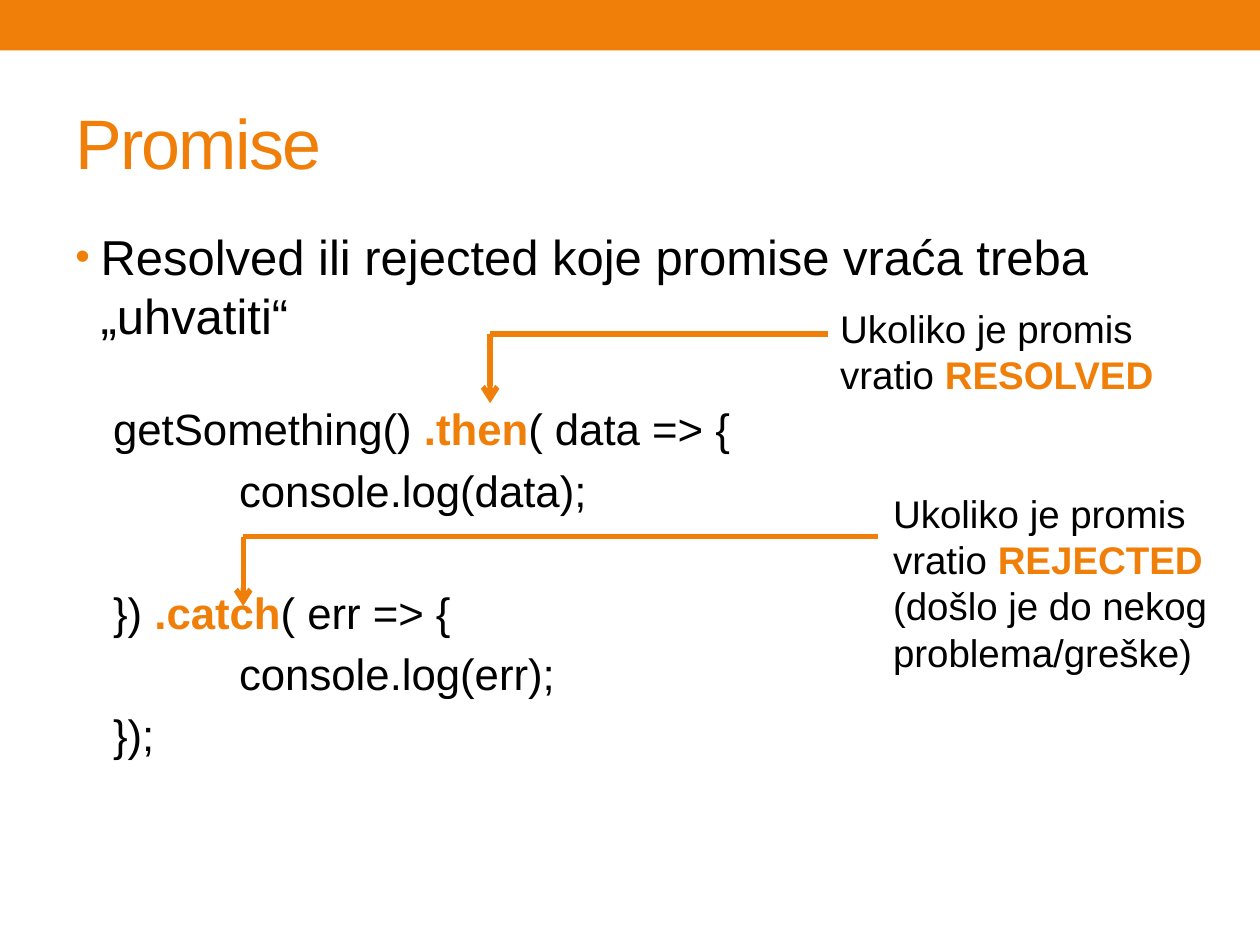
from lxml.etree import SubElement
from pptx import Presentation
from pptx.dml.color import RGBColor
from pptx.enum.shapes import MSO_CONNECTOR, MSO_SHAPE
from pptx.enum.text import MSO_ANCHOR
from pptx.oxml.ns import qn
from pptx.util import Inches, Pt

ORANGE, BLACK = "F07F09", "000000"
COLUMNS, ROWS = 100, 75
CELL = Inches(10) // COLUMNS


def grid(*cells):
    """Turn grid cells into slide lengths."""
    return [round(cell * CELL) for cell in cells]


def color(value):
    """Turn a hex string into a colour."""
    return RGBColor.from_string(value)


def add_text_frame(slide, box):
    """Place a wrapping text box and return its frame."""
    frame = slide.shapes.add_textbox(*grid(*box)).text_frame
    frame.word_wrap = True
    return frame


def write_paragraph(frame, parts, size, before=0):
    """Write a paragraph whose odd parts are bold and orange."""
    paragraph = frame.paragraphs[0]
    if paragraph.runs:
        paragraph = frame.add_paragraph()
    paragraph.font.size, paragraph.font.name = Pt(size), "Arial"
    paragraph.font.color.rgb = color(BLACK)
    paragraph.space_before = Pt(before)
    for index, text in enumerate(parts):
        run = paragraph.add_run()
        run.text = text
        if index % 2:
            run.font.bold = True
            run.font.color.rgb = color(ORANGE)
    return paragraph


def indent(paragraph, left, first=0):
    """Set the left margin and first-line indent in grid columns."""
    properties = paragraph._p.get_or_add_pPr()
    margin, offset = grid(left, first)
    properties.set("marL", str(margin))
    properties.set("indent", str(offset))
    return properties


def add_bullet(properties):
    """Give a paragraph an orange bullet."""
    bullet_color = SubElement(properties, qn("a:buClr"))
    SubElement(bullet_color, qn("a:srgbClr"), val=ORANGE)
    SubElement(properties, qn("a:buSzPct"), val="85000")
    SubElement(properties, qn("a:buFont"), typeface="Arial")
    SubElement(properties, qn("a:buChar"), char="•")


def add_band(slide, box):
    """Draw the band across the top."""
    band = slide.shapes.add_shape(MSO_SHAPE.RECTANGLE, *grid(*box))
    band.shadow.inherit = False
    band.fill.solid()
    band.fill.fore_color.rgb = color(ORANGE)
    band.line.fill.background()


def add_title(slide, box, text):
    """Write the slide title."""
    frame = add_text_frame(slide, box)
    frame.vertical_anchor = MSO_ANCHOR.MIDDLE
    paragraph = write_paragraph(frame, [text], 40)
    run = paragraph.runs[0]
    run.font.color.rgb = color(ORANGE)
    run._r.get_or_add_rPr().set("spc", "-100")


def add_body(slide, box, statement, code):
    """Write the bulleted statement and the code below it."""
    frame = add_text_frame(slide, box)
    add_bullet(indent(write_paragraph(frame, [statement], 28, 5.6), 2, -2))
    for left, before, parts in code:
        paragraph = write_paragraph(frame, parts, 25, before)
        paragraph.level = 1
        indent(paragraph, left)


def add_line(slide, start, end, arrow=False):
    """Draw a straight orange line, with an arrowhead if asked."""
    connector = slide.shapes.add_connector(MSO_CONNECTOR.STRAIGHT, *grid(*start, *end))
    connector.line.color.rgb = color(ORANGE)
    connector.line.width = Pt(3)
    if arrow:
        SubElement(connector.line._get_or_add_ln(), qn("a:tailEnd"), type="arrow")
    SubElement(connector._element.spPr, qn("a:effectLst"))


def add_callout(slide, box, corner, line_end, paragraphs):
    """Write a note and draw its bent arrow down to the code."""
    column, row = corner
    add_line(slide, corner, (column, row + 5.5), arrow=True)
    add_line(slide, corner, (line_end, row))
    frame = add_text_frame(slide, box)
    for parts in paragraphs:
        write_paragraph(frame, parts, 22)


def main():
    """Build the slide."""
    presentation = Presentation()
    presentation.slide_width, presentation.slide_height = grid(COLUMNS, ROWS)
    slide = presentation.slides.add_slide(presentation.slide_layouts[6])
    add_band(slide, (0, 0, COLUMNS, 4))
    add_title(slide, (5, 5.8, 90, 10.8), "Promise")
    code = [
        (3, 33, ["getSomething() ", ".then", "( data => {"]),
        (13, 5, ["console.log(data);"]),
        (3, 40, ["}) ", ".catch", "( err => {"]),
        (13, 5, ["console.log(err);"]),
        (3, 5, ["});"]),
    ]
    statement = "Resolved ili rejected koje promise vraća treba „uhvatiti“"
    add_body(slide, (5, 17.5, 90, 53.3), statement, code)
    opening = "Ukoliko je promis vratio "
    add_callout(slide, (65.7, 23.7, 27.6, 8.4), (38.9, 26.5), 65.7,
                [[opening, "RESOLVED"]])
    add_callout(slide, (69.9, 38.4, 27.6, 15.8), (19.3, 42.6), 69.7,
                [[opening, "REJECTED"], ["(došlo je do nekog problema/greške)"]])
    presentation.save("out.pptx")


if __name__ == "__main__":
    main()
